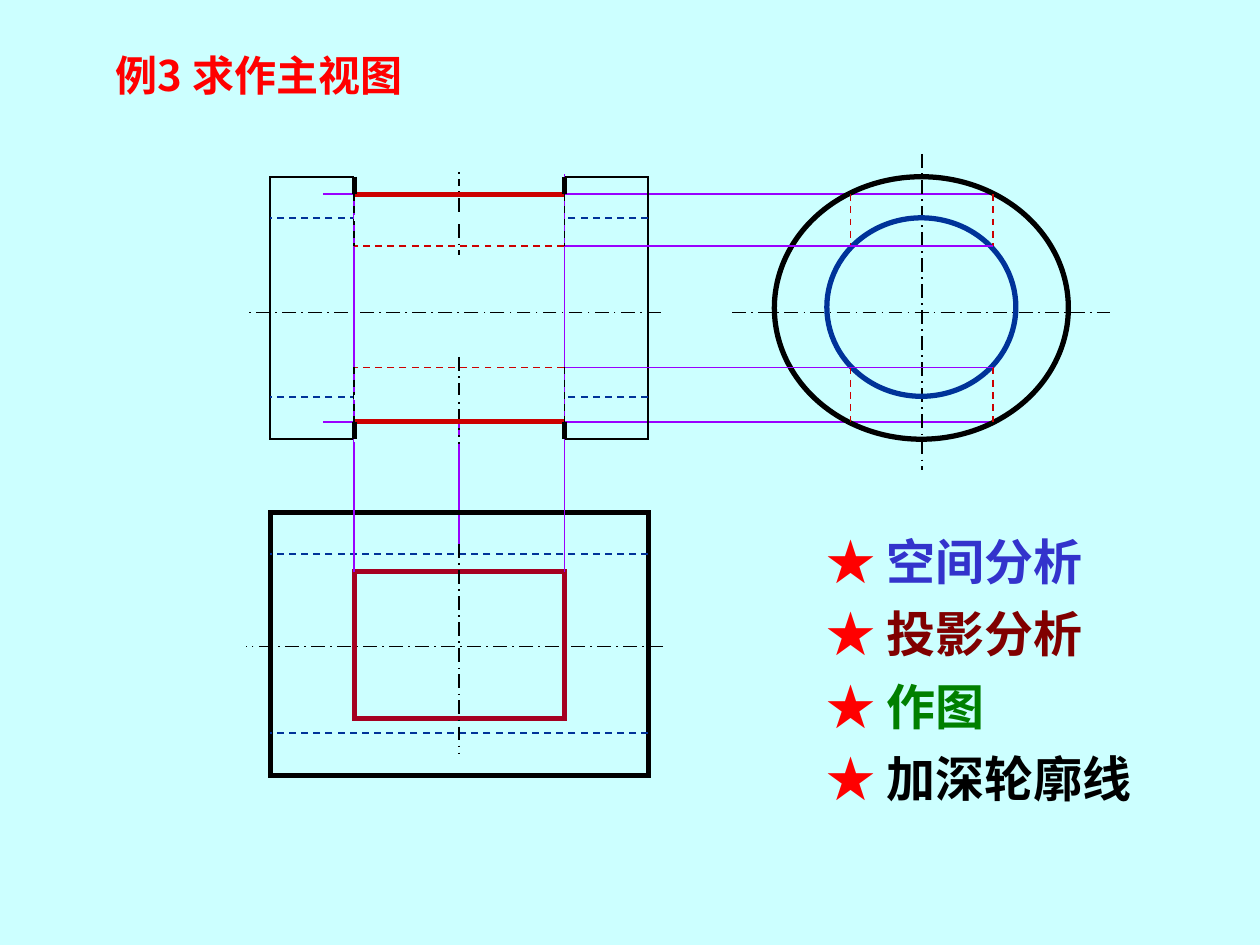
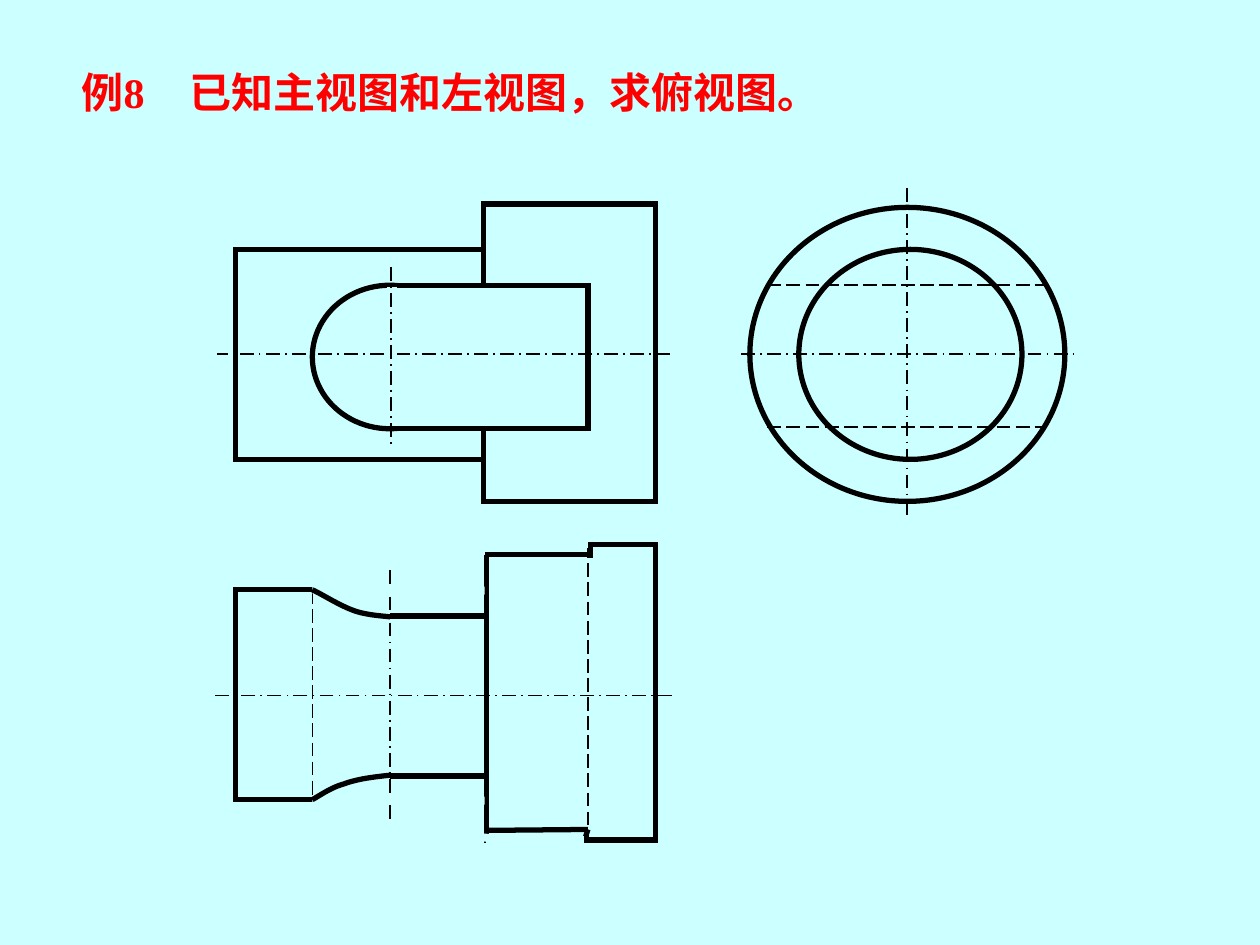
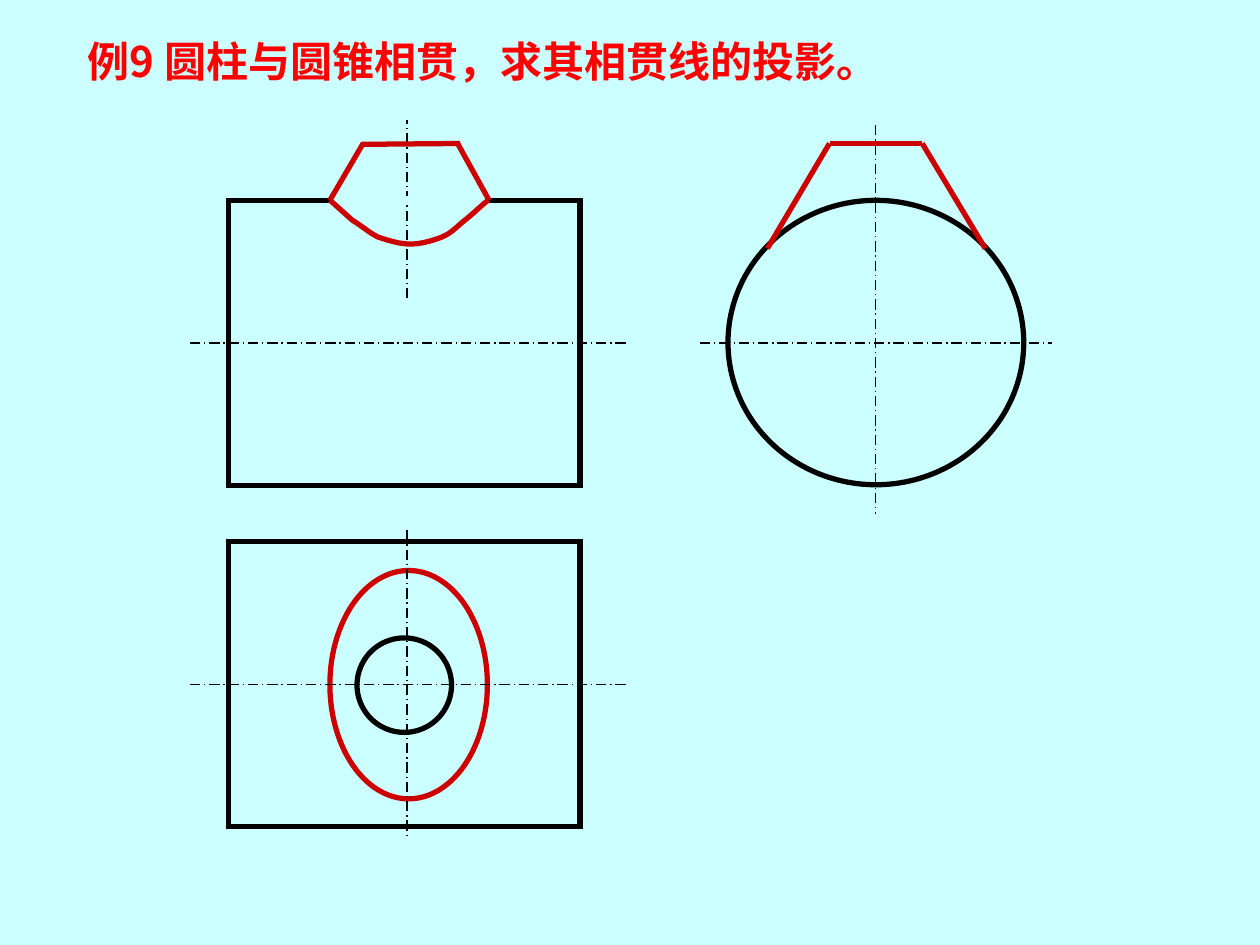
from pptx import Presentation
from pptx.dml.color import RGBColor
from pptx.enum.dml import MSO_LINE
from pptx.enum.shapes import MSO_CONNECTOR, MSO_SHAPE
from pptx.enum.text import MSO_ANCHOR, MSO_AUTO_SIZE, PP_ALIGN
from pptx.oxml.ns import qn
from pptx.util import Pt
from lxml import etree

SKY = RGBColor(0xCC, 0xFF, 0xFF)
BLACK = RGBColor(0, 0, 0)
RED = RGBColor(0xFF, 0, 0)
CRIMSON = RGBColor(0xCC, 0, 0)
WINE = RGBColor(0xA5, 0, 0x21)
VIOLET = RGBColor(0x99, 0, 0xFF)
NAVY = RGBColor(0, 0x33, 0x99)
INDIGO = RGBColor(0x33, 0x33, 0xCC)
MAROON = RGBColor(0x80, 0, 0)
GREEN = RGBColor(0, 0x80, 0)

SANS = "Noto Sans CJK SC"
SERIF = "Times New Roman"
RECT = MSO_SHAPE.RECTANGLE
OVAL = MSO_SHAPE.OVAL
STRAIGHT = MSO_CONNECTOR.STRAIGHT
AXIS = MSO_LINE.LONG_DASH_DOT
DASH = MSO_LINE.DASH
LONG = MSO_LINE.LONG_DASH
MIDDLE = MSO_ANCHOR.MIDDLE
TOP = MSO_ANCHOR.TOP
FIXED = MSO_AUTO_SIZE.NONE
LEFT = PP_ALIGN.LEFT
STEPS = 12


def write(para, text, size=24, font=SANS, colour=RED):
    run = para.add_run()
    run.text = text
    run.font.size = Pt(size)
    run.font.bold = True
    run.font.color.rgb = colour
    run.font.name = font
    east = etree.SubElement(run.font._element, qn("a:ea"))
    east.set("typeface", SANS)


def place(holder, x, y, w, h, anchor):
    holder.left, holder.top, holder.width, holder.height = map(Pt, (x, y, w, h))
    frame = holder.text_frame
    frame.word_wrap = True
    frame.auto_size = FIXED
    frame.vertical_anchor = anchor
    return frame


def title(slide, text, x, y, w, font=SANS, tab=None):
    para = place(slide.shapes.title, x, y, w, 36, MIDDLE).paragraphs[0]
    if tab:
        stops = etree.SubElement(para._p.get_or_add_pPr(), qn("a:tabLst"))
        etree.SubElement(stops, qn("a:tab"), pos=str(Pt(tab)), algn="l")
    para.alignment = LEFT
    write(para, text, font=font)


def stars(slide, items, x, y, w, pitch):
    frame = place(slide.placeholders[1], x, y, w, pitch * len(items) + 8, TOP)
    for i, (text, colour) in enumerate(items):
        para = frame.add_paragraph() if i else frame.paragraphs[0]
        props = para._p.get_or_add_pPr()
        props.set("marL", "0")
        props.set("indent", "0")
        etree.SubElement(props, qn("a:buNone"))
        para.line_spacing = Pt(pitch)
        para.space_before = Pt(0)
        write(para, "★ ", size=28, font=SERIF)
        write(para, text, size=28, font=SERIF, colour=colour)


def line(slide, x1, y1, x2, y2, colour=BLACK, width=3, dash=None):
    link = slide.shapes.add_connector(STRAIGHT, Pt(x1), Pt(y1), Pt(x2), Pt(y2))
    link.line.color.rgb = colour
    link.line.width = Pt(width)
    if dash:
        link.line.dash_style = dash
    etree.SubElement(link._element.spPr, qn("a:effectLst"))


def axis(slide, x1, y1, x2, y2, width=1):
    line(slide, x1, y1, x2, y2, width=width, dash=AXIS)


def erase(slide, x1, y1, x2, y2, width=4.5):
    line(slide, x1, y1, x2, y2, colour=SKY, width=width)


def style(form, colour, width, fill=None):
    form.shadow.inherit = False
    if fill:
        form.fill.solid()
        form.fill.fore_color.rgb = fill
    else:
        form.fill.background()
    form.line.color.rgb = colour
    form.line.width = Pt(width)


def shape(slide, kind, x, y, w, h, colour=BLACK, width=3, fill=None):
    form = slide.shapes.add_shape(kind, Pt(x), Pt(y), Pt(w), Pt(h))
    style(form, colour, width, fill)
    edge = form._element.spPr.find(qn("a:ln"))
    etree.SubElement(edge, qn("a:miter"), lim="800000")


def curve(slide, start, bends, colour=BLACK):
    points = []
    last = start
    for bend in bends:
        a, b, c = bend
        for step in range(1, STEPS + 1):
            t = step / STEPS
            s = 1 - t
            points.append([
                Pt(s**3 * p + 3 * s * s * t * q + 3 * s * t * t * r + t**3 * e)
                for p, q, r, e in zip(last, a, b, c)
            ])
        last = c
    pen = slide.shapes.build_freeform(Pt(start[0]), Pt(start[1]))
    pen.add_line_segments(points, close=False)
    style(pen.convert_to_shape(), colour, 3)


def tube(slide):
    title(slide, "例3 求作主视图", 59, 24.5, 245.5)
    west, east, mid = 154.5, 370.5, 262.5
    near, far = 202.5, 322.5
    roof, floor = 101, 251
    high, low = 111, 241
    inner = (140.5, 210)
    bore = (124.5, 227)
    right = 567.5

    line(slide, mid, 316.5, mid, low, VIOLET, 1)
    for y in (high, low):
        line(slide, right, y, 184.5, y, VIOLET, 1)
    axis(slide, 418.5, 178.5, 634.5, 178.5)
    axis(slide, 527, 88, 527, 268.5)
    axis(slide, 379, 369.5, 140.5, 369.5)
    shape(slide, OVAL, 442.5, roof, 168, 150)
    shape(slide, RECT, west, 293, 216, 150)
    shape(slide, RECT, near, 326.5, 120, 84, WINE)
    shape(slide, OVAL, 472.5, 124.5, 108, 102, NAVY)
    shape(slide, RECT, west, roof, 216, 150, width=1)
    for y in (*bore, 316.5, 419):
        line(slide, east, y, west, y, NAVY, 1, DASH)
    axis(slide, 377.5, 178.5, 142.5, 178.5)
    axis(slide, mid, 311, mid, 430.5)

    walls = ((high, inner[0]), (inner[1], low))
    for x in (486, right):
        for y1, y2 in walls:
            line(slide, x, y1, x, y2, CRIMSON, 1, DASH)
    axis(slide, mid, 98.5, mid, 145.5)
    axis(slide, mid, 204, mid, 254)
    for x, y in ((near, 103.5), (far, 99.5)):
        line(slide, x, 327, x, y, VIOLET, 1)
    for y in (high, low):
        line(slide, near, y, far, y, CRIMSON)
    for y in (roof, floor):
        erase(slide, near, y, far, y, 3)
    for x in (near, far):
        line(slide, x, roof, x, high)
        line(slide, x, low, x, floor)
    for y in inner:
        line(slide, right, y, far, y, VIOLET, 1)
        line(slide, far, y, near, y, CRIMSON, 1, DASH)
    for x in (near, far):
        for y1, y2 in walls:
            line(slide, x, y1, x, y2, width=1, dash=DASH)
    for y in bore:
        erase(slide, near, y, far, y, 3)

    items = [("空间分析", INDIGO), ("投影分析", MAROON),
             ("作图", GREEN), ("加深轮廓线", BLACK)]
    stars(slide, items, 465, 292, 226, 41.5)


def shaft(slide):
    title(slide, "例8\t已知主视图和左视图，求俯视图。", 39.5, 34.5, 466.5,
          font=SERIF, tab=61.5)
    axis(slide, 423.5, 202.5, 614, 202.5)
    axis(slide, 518.5, 107.5, 518.5, 296.5)
    shape(slide, OVAL, 428.5, 118.5, 180, 168)
    shape(slide, OVAL, 456.5, 142.5, 127.5, 120)
    shape(slide, RECT, 276.5, 116.5, 98, 170)
    shape(slide, RECT, 134.5, 142.5, 142, 120)
    shape(slide, RECT, 278, 311, 96.5, 169)
    axis(slide, 384, 397.5, 123, 397.5)
    shape(slide, RECT, 134.5, 337, 143.5, 120)
    shape(slide, OVAL, 178.5, 163, 88.5, 82)
    shape(slide, RECT, 223, 163, 113, 82, fill=SKY)
    axis(slide, 383, 202.5, 124, 202.5)
    erase(slide, 224, 164, 224, 243.5, 6)
    axis(slide, 223.5, 152.5, 223.5, 253.5)
    for y in (163, 244):
        line(slide, 438.5, y, 597, y, width=1, dash=LONG)
    line(slide, 178.5, 337, 178.5, 457, width=1, dash=LONG)
    axis(slide, 223, 326, 223, 468.5)
    line(slide, 336, 311, 336, 480, width=1, dash=LONG)
    for y in (352, 443.5):
        line(slide, 223, y, 278, y)
    line(slide, 336, 474, 279.5, 474.5)
    line(slide, 336, 474, 334, 480)
    for y in (337, 457):
        erase(slide, 178.5, y, 277, y + 0.5)
    erase(slide, 277, 304, 277, 317)
    erase(slide, 278, 311, 337.5, 311)
    erase(slide, 278, 480, 334, 480)
    erase(slide, 278.5, 476.5, 278, 481)
    curve(slide, (178.5, 337), [
        ((183, 339), (195, 346.5), (202.5, 349)),
        ((209.5, 351.5), (219, 352), (223, 352.5)),
    ])
    curve(slide, (178.5, 457), [
        ((184.5, 453.5), (189.5, 450), (196.5, 448)),
        ((204.5, 445), (214, 444), (223, 443)),
    ])
    line(slide, 337.5, 309.5, 337.5, 319)
    line(slide, 336, 317, 277, 317)


def cone(slide):
    title(slide, "例9 圆柱与圆锥相贯，求其相贯线的投影。", 43, 16.5, 483)
    thin = 0.75
    shape(slide, OVAL, 188.5, 326, 90, 130.5, CRIMSON)
    axis(slide, 400, 196, 601, 196, thin)
    axis(slide, 500.5, 71.5, 500.5, 294, thin)
    shape(slide, OVAL, 416, 114.5, 169, 162.5)
    for y in (196, 391):
        axis(slide, 108.5, y, 358, y, thin)
        shape(slide, RECT, 130.5, y - 81.5, 201, 163)
    axis(slide, 232.5, 303, 232.5, 478, thin)
    axis(slide, 232.5, 170.5, 232.5, 68.5, thin)
    shape(slide, OVAL, 204, 364.5, 54, 54)
    line(slide, 527, 82, 563, 142, CRIMSON)
    line(slide, 474, 82, 438.5, 142, CRIMSON)
    line(slide, 474.5, 82, 527, 82, CRIMSON)
    line(slide, 206.5, 82.5, 263, 82, CRIMSON)
    erase(slide, 188.5, 114.5, 278.5, 114.5)
    line(slide, 207.5, 82, 188.5, 114.5, CRIMSON)
    line(slide, 261.5, 82, 279.5, 114.5, CRIMSON)
    curve(slide, (188.5, 114.5), [
        ((191, 116.5), (197.5, 122.5), (201.5, 126)),
        ((206.5, 129), (211, 133), (216, 135.5)),
        ((222, 137.5), (228.5, 139.5), (234.5, 139.5)),
        ((240.5, 139.5), (247.5, 137.5), (252.5, 135.5)),
        ((258.5, 133), (261.5, 129), (265.5, 126)),
        ((270, 122.5), (276, 116.5), (279, 114.5)),
    ], CRIMSON)


def main():
    deck = Presentation()
    deck.slide_width, deck.slide_height = Pt(720), Pt(540)
    back = deck.slide_master.background.fill
    back.solid()
    back.fore_color.rgb = SKY
    for draw, layout in ((tube, 1), (shaft, 5), (cone, 5)):
        draw(deck.slides.add_slide(deck.slide_layouts[layout]))
    deck.save("out.pptx")


if __name__ == "__main__":
    main()
